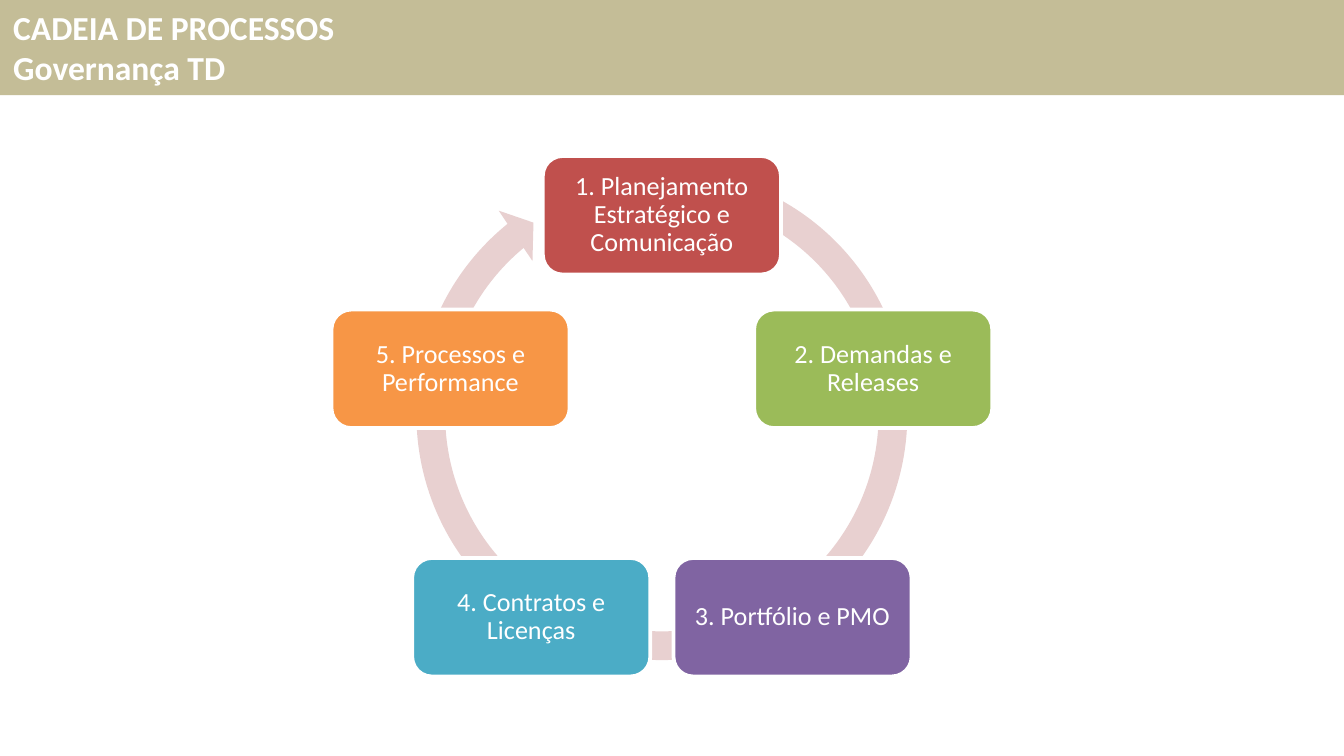
import math
import pptx
import pptx.util
import pptx.dml.color
import pptx.enum.shapes
import pptx.enum.text

Cm = pptx.util.Cm
Pt = pptx.util.Pt
SHAPE = pptx.enum.shapes.MSO_SHAPE
ALIGN = pptx.enum.text.PP_ALIGN
ANCHOR = pptx.enum.text.MSO_ANCHOR

TITLE = ["CADEIA DE PROCESSOS", "Governança TD"]
PROCESSES = [
    ("1. Planejamento Estratégico e Comunicação", "C0504D"),
    ("2. Demandas e Releases", "9BBB59"),
    ("3. Portfólio e PMO", "8064A2"),
    ("4. Contratos e Licenças", "4BACC6"),
    ("5. Processos e Performance", "F79646"),
]
THEME = {
    "font": "Calibri",
    "title_size": 18,
    "node_size": 14,
    "text": "FFFFFF",
    "bar": "C4BD97",
    "ring": "E8D0D0",
    "outline": "FFFFFF",
}
SLIDE_W, SLIDE_H = 25.4, 14.29
BAR_H = 1.8
CENTER_X, CENTER_Y, RADIUS = 12.51, 8.27, 4.2
NODE_W, NODE_H, NODE_INSET = 4.5, 2.24, 0.26
RING_SIZE, RING_Y = 9.88, 7.84
RING_ADJUSTMENTS = [0.055, 3.307, 138.435, 173.45, 0.058]


def rgb(value):
    return pptx.dml.color.RGBColor.from_string(value)


def set_all(target, values):
    for name, value in values.items():
        setattr(target, name, value)


def add_box(s, kind, x, y, w, h, fill, outline=None):
    sp = s.shapes.add_shape(kind, Cm(x), Cm(y), Cm(w), Cm(h))
    sp.shadow.inherit = False
    sp.fill.solid()
    sp.fill.fore_color.rgb = rgb(fill)
    if outline:
        sp.line.color.rgb = rgb(outline)
        sp.line.width = Pt(2)
    else:
        sp.line.fill.background()
    return sp


def write(sp, lines, frame, paragraph, font):
    tf = sp.text_frame
    set_all(tf, {"word_wrap": True, **frame})
    for i, line in enumerate(lines):
        p = tf.add_paragraph() if i else tf.paragraphs[0]
        set_all(p, paragraph)
        r = p.add_run()
        r.text = line
        set_all(r.font, {"name": THEME["font"], **font})
        r.font.color.rgb = rgb(THEME["text"])


def main():
    prs = pptx.Presentation()
    prs.slide_width, prs.slide_height = Cm(SLIDE_W), Cm(SLIDE_H)
    s = prs.slides.add_slide(prs.slide_layouts[6])

    bar = add_box(s, SHAPE.RECTANGLE, 0, 0, SLIDE_W, BAR_H, THEME["bar"])
    write(bar, TITLE,
          {"vertical_anchor": ANCHOR.TOP,
           "auto_size": pptx.enum.text.MSO_AUTO_SIZE.SHAPE_TO_FIT_TEXT},
          {"alignment": ALIGN.LEFT},
          {"size": Pt(THEME["title_size"]), "bold": True})

    ring = add_box(s, SHAPE.CIRCULAR_ARROW, CENTER_X - RING_SIZE / 2,
                   RING_Y - RING_SIZE / 2, RING_SIZE, RING_SIZE, THEME["ring"])
    for i, value in enumerate(RING_ADJUSTMENTS):
        ring.adjustments[i] = value

    sides = ("left", "top", "right", "bottom")
    node_frame = {f"margin_{side}": Cm(NODE_INSET) for side in sides}
    node_frame["vertical_anchor"] = ANCHOR.MIDDLE
    for i, (label, color) in enumerate(PROCESSES):
        angle = 2 * math.pi * i / len(PROCESSES)
        x = CENTER_X + RADIUS * math.sin(angle) - NODE_W / 2
        y = CENTER_Y - RADIUS * math.cos(angle) - NODE_H / 2
        node = add_box(s, SHAPE.ROUNDED_RECTANGLE, x, y, NODE_W, NODE_H,
                       color, THEME["outline"])
        write(node, [label], node_frame,
              {"alignment": ALIGN.CENTER, "line_spacing": 0.9},
              {"size": Pt(THEME["node_size"])})

    prs.save("out.pptx")


if __name__ == "__main__":
    main()
